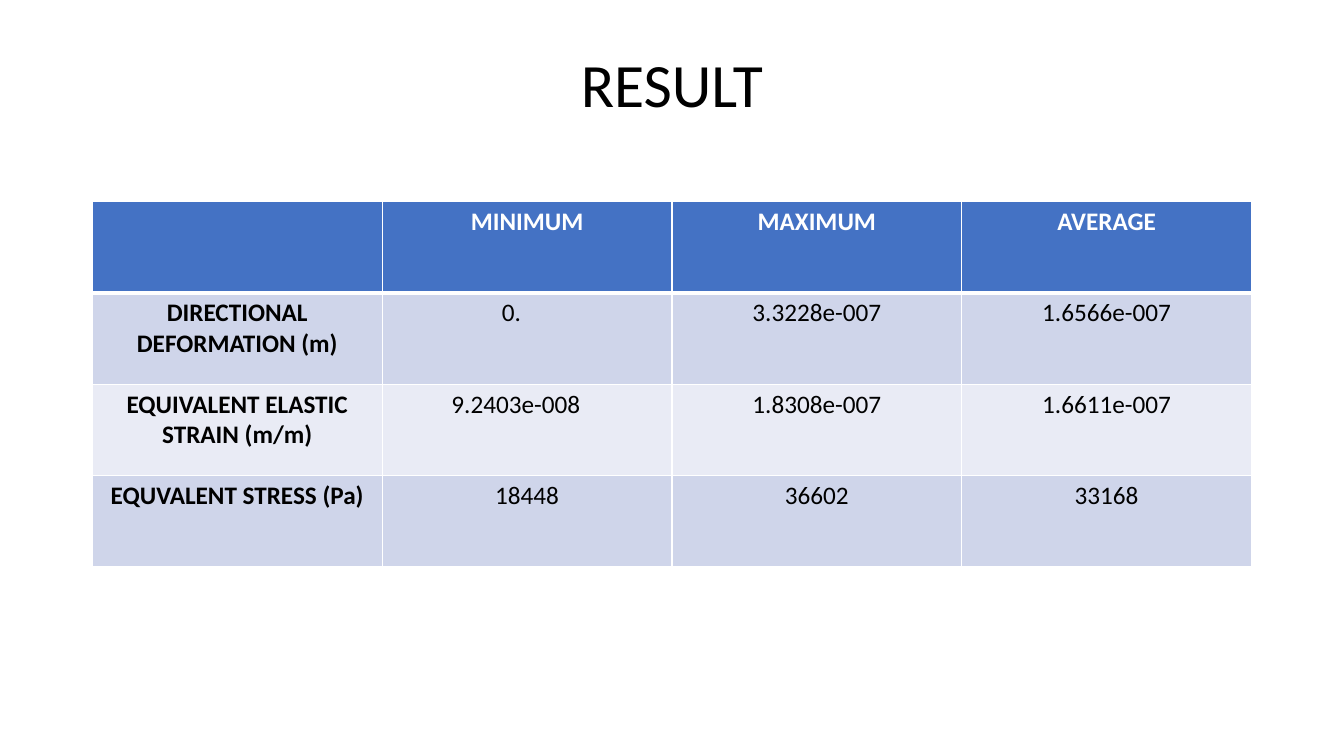
import pptx
import pptx.dml.color
import pptx.enum.text
import pptx.oxml
import pptx.oxml.ns
import pptx.util

Pt = pptx.util.Pt
RGBColor = pptx.dml.color.RGBColor
ALIGN = pptx.enum.text.PP_ALIGN
ANCHOR = pptx.enum.text.MSO_ANCHOR

BLACK = RGBColor(0x00, 0x00, 0x00)
WHITE = RGBColor(0xFF, 0xFF, 0xFF)
BLUE = RGBColor(0x44, 0x72, 0xC4)
DARK_BAND = RGBColor(0xCF, 0xD5, 0xEA)
LIGHT_BAND = RGBColor(0xE9, 0xEB, 0xF5)

RESULTS = [
    ["", "MINIMUM", "MAXIMUM", "AVERAGE"],
    ["DIRECTIONAL DEFORMATION (m)", "0.\t", "3.3228e-007", "1.6566e-007"],
    ["EQUIVALENT ELASTIC STRAIN (m/m)", "9.2403e-008\t", "1.8308e-007", "1.6611e-007"],
    ["EQUVALENT STRESS (Pa)", "18448", "36602", "33168"],
]


def write_text(text_frame, text, size=18, color=BLACK, bold=False, line_spacing=1.0):
    paragraph = text_frame.paragraphs[0]
    paragraph.alignment = ALIGN.CENTER
    paragraph.line_spacing = line_spacing
    run = paragraph.add_run()
    run.text = text
    run.font.name = "Calibri"
    run.font.size = Pt(size)
    run.font.bold = bold
    run.font.color.rgb = color


class ResultSlide:
    """Hold the table style and the slide, and draw each kind of element."""

    thin, thick = 1, 3
    bands = (LIGHT_BAND, DARK_BAND)

    def __init__(self, presentation):
        self.slide = presentation.slides.add_slide(presentation.slide_layouts[6])

    def add_title(self, text, left, top, width, height):
        shape = self.slide.shapes.add_textbox(Pt(left), Pt(top), Pt(width), Pt(height))
        shape.text_frame.word_wrap = True
        shape.text_frame.vertical_anchor = ANCHOR.MIDDLE
        write_text(shape.text_frame, text, size=44, line_spacing=0.9)

    def add_border(self, cell, side, width):
        line = pptx.oxml.parse_xml(
            f'<a:ln{side} {pptx.oxml.ns.nsdecls("a")} w="{Pt(width)}">'
            f'<a:solidFill><a:srgbClr val="{WHITE}"/></a:solidFill></a:ln{side}>'
        )
        cell._tc.get_or_add_tcPr().append(line)

    def add_table(self, rows, left, top, width, height):
        shape = self.slide.shapes.add_table(
            len(rows), len(rows[0]), Pt(left), Pt(top), Pt(width), Pt(height)
        )
        for row_index, row in enumerate(rows):
            for column_index, text in enumerate(row):
                cell = shape.table.cell(row_index, column_index)
                header = row_index == 0
                widths = {
                    "L": self.thin,
                    "R": self.thin,
                    "T": self.thick if row_index == 1 else self.thin,
                    "B": self.thick if header else self.thin,
                }
                for side, border_width in widths.items():
                    self.add_border(cell, side, border_width)
                cell.fill.solid()
                cell.fill.fore_color.rgb = BLUE if header else self.bands[row_index % 2]
                if text:
                    write_text(
                        cell.text_frame,
                        text,
                        color=WHITE if header else BLACK,
                        bold=header or column_index == 0,
                    )


def main():
    presentation = pptx.Presentation()
    presentation.slide_width = Pt(960)
    presentation.slide_height = Pt(540)
    result = ResultSlide(presentation)
    result.add_title("RESULT", 395.5, 23, 169, 79)
    result.add_table(RESULTS, 66, 144, 828, 260.8)
    presentation.save("out.pptx")


if __name__ == "__main__":
    main()
